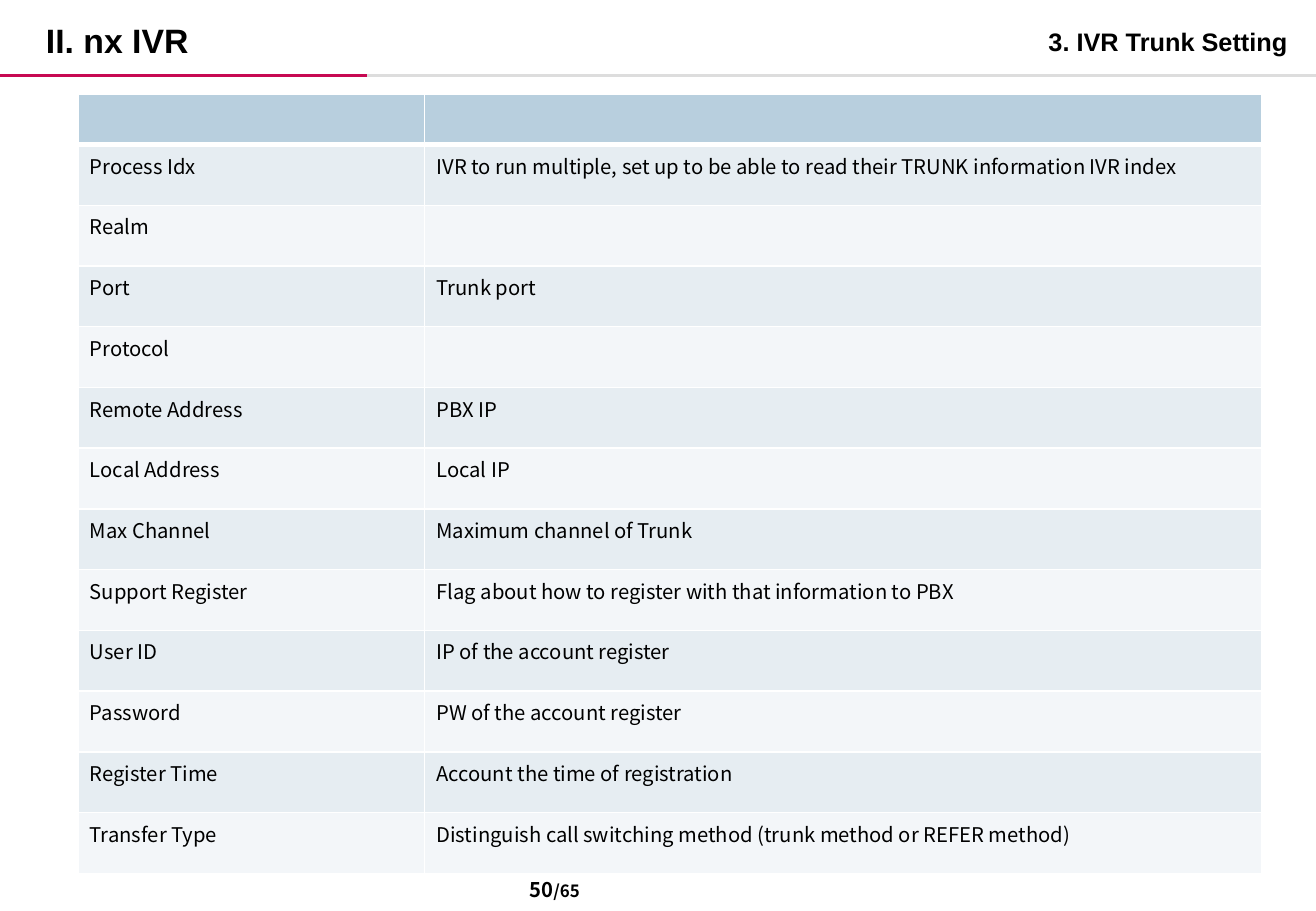
from lxml.etree import SubElement as Sub
from pptx import Presentation
from pptx.dml.color import RGBColor as Rgb
from pptx.enum.shapes import MSO_CONNECTOR as Conn
from pptx.enum.text import MSO_ANCHOR as Anchor
from pptx.oxml.ns import qn
from pptx.util import Inches, Pt

WIDE, HIGH = 10.83, 7.5
SANS, NOTO = "Arial", "Noto Sans CJK KR"
HEAD, ODD, EVEN = "B8CFDE", "E6EDF2", "F3F6F9"
ROWS = [
    ("Process Idx", "IVR to run multiple, set up to be able to read their TRUNK information IVR index"),
    ("Realm", ""),
    ("Port", "Trunk port"),
    ("Protocol", ""),
    ("Remote Address", "PBX IP"),
    ("Local Address", "Local IP"),
    ("Max Channel", "Maximum channel of Trunk"),
    ("Support Register", "Flag about how to register with that information to PBX"),
    ("User ID", "IP of the account register"),
    ("Password", "PW of the account register"),
    ("Register Time", "Account the time of registration"),
    ("Transfer Type", "Distinguish call switching method (trunk method or REFER method)"),
]


def paint(hue):
    return Rgb.from_string(hue)


def style(font, **looks):
    font.color.rgb = paint("000000")
    for name, value in looks.items():
        setattr(font, name, value)


def label(slide, box, runs, face, lead=1.0, **looks):
    frame = slide.shapes.add_textbox(*map(Inches, box)).text_frame
    for name, value in looks.items():
        setattr(frame, name, value)
    para = frame.paragraphs[0]
    para.line_spacing = lead
    for text, size in runs:
        run = para.add_run()
        run.text = text
        style(run.font, name=face, size=Pt(size), bold=True)


def rule(slide, start, end, y, hue):
    line = slide.shapes.add_connector(
        Conn.STRAIGHT, Inches(start), Inches(y), Inches(end), Inches(y))
    line.line.color.rgb = paint(hue)
    line.line.width = Pt(1.5)
    Sub(line._element.spPr, qn("a:effectLst"))


def banner(slide, box):
    left, top, width, height = box
    split = left + width * 0.279
    base = top + height
    rule(slide, left, split, base, "C70952")
    rule(slide, split, left + width, base, "DDDDDD")
    label(slide, (left + 0.28, top + 0.05, 3.37, 0.46),
          [("II. nx IVR", 20)], SANS, 1.2, word_wrap=False)
    label(slide, (left + width - 2.3, top + 0.12, 2.19, 0.4),
          [("3. IVR Trunk Setting", 15)], SANS, 1.2, word_wrap=False)


def edge(cell, sides):
    props = cell._tc.get_or_add_tcPr()
    for side, size in sides.items():
        line = Sub(props, qn("a:ln" + side), w=str(Pt(size)))
        fill = Sub(line, qn("a:solidFill"))
        Sub(fill, qn("a:srgbClr"), val="FFFFFF")


def grid(slide, box):
    left, top, width, height = box
    first = 0.41
    step = (height - first) / len(ROWS)
    table = slide.shapes.add_table(len(ROWS) + 1, 2, *map(Inches, box)).table
    for col, share in zip(table.columns, (0.2926, 0.7074)):
        col.width = Inches(width * share)
    for i, texts in enumerate([("", "")] + ROWS):
        table.rows[i].height = Inches(step if i else first)
        hue = (ODD if i % 2 else EVEN) if i else HEAD
        for j, text in enumerate(texts):
            cell = table.cell(i, j)
            edge(cell, {"L": 1, "R": 1, "T": 3 if i == 1 else 1, "B": 1 if i else 3})
            cell.fill.solid()
            cell.fill.fore_color.rgb = paint(hue)
            para = cell.text_frame.paragraphs[0]
            if text:
                run = para.add_run()
                run.text = text
                style(run.font, name=NOTO, size=Pt(12), bold=False)
            else:
                style(para.font, name=NOTO, size=Pt(12))


def footer(slide, box):
    label(slide, box, [("50", 12), ("/65", 10)], NOTO,
          word_wrap=True, vertical_anchor=Anchor.MIDDLE)


def main():
    deck = Presentation()
    deck.slide_width, deck.slide_height = Inches(WIDE), Inches(HIGH)
    slide = deck.slides.add_slide(deck.slide_layouts[6])
    banner(slide, (0, 0, WIDE, 0.62))
    grid(slide, (0.64, 0.78, WIDE * 0.9, 6.41))
    footer(slide, (4.26, HIGH * 0.96, 2.26, 0.25))
    deck.save("out.pptx")


if __name__ == "__main__":
    main()
